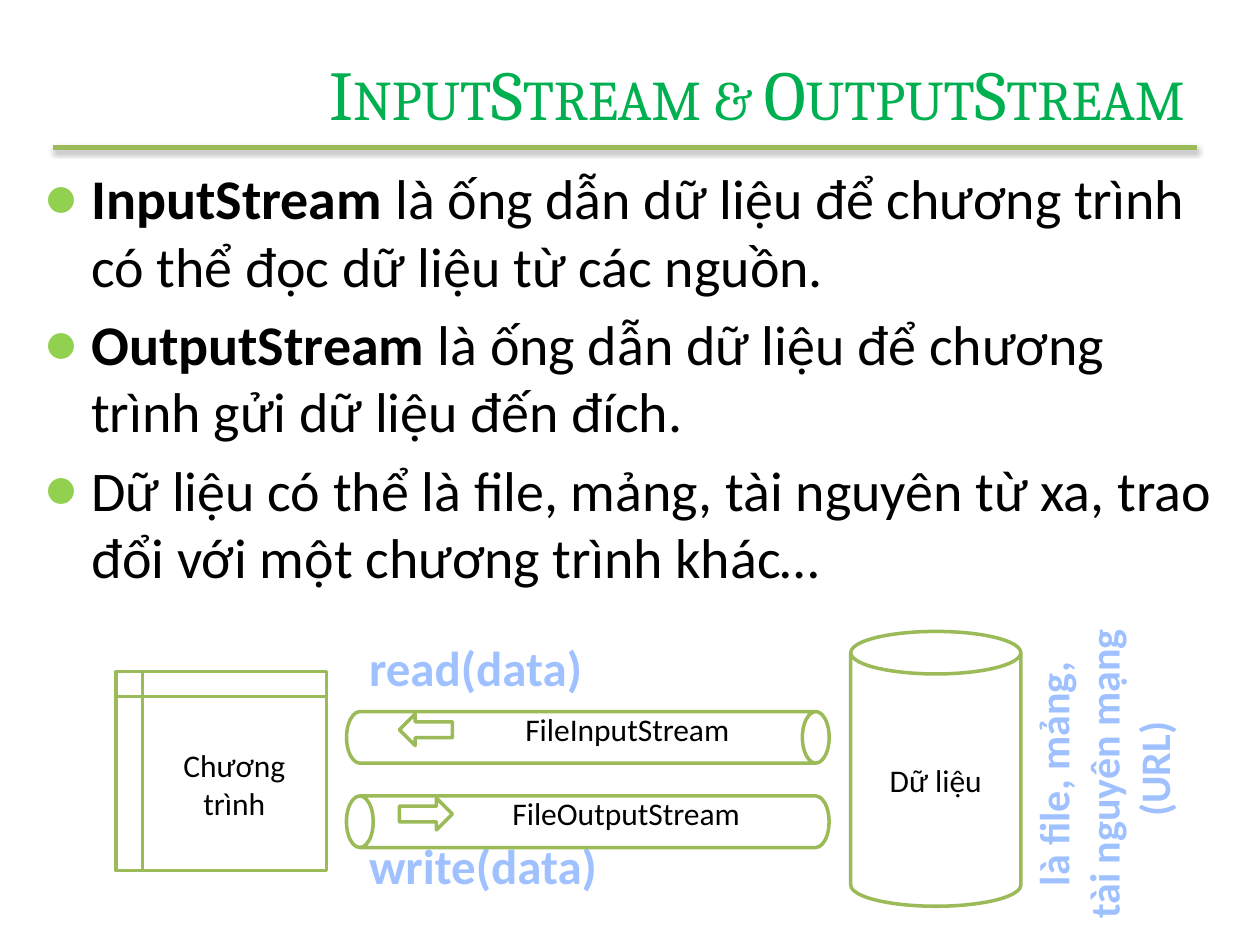
import pptx
import pptx.util
import pptx.dml.color
import pptx.enum.shapes
import pptx.enum.text
import pptx.oxml
import pptx.oxml.ns
from lxml import etree

Cm = pptx.util.Cm
Pt = pptx.util.Pt
SHAPE = pptx.enum.shapes.MSO_SHAPE
ALIGN = pptx.enum.text.PP_ALIGN
ANCHOR = pptx.enum.text.MSO_ANCHOR
FIT = pptx.enum.text.MSO_AUTO_SIZE
qn = pptx.oxml.ns.qn

COLORS = {
    "green": "9BBB59",
    "bullet": "92D050",
    "title": "00B050",
    "art": "A0C1FF",
    "text": "000000",
    "white": "FFFFFF",
}
FORMATS = {
    "title": {"size": Pt(40), "name": "Cambria"},
    "body": {"size": Pt(32), "name": "Calibri"},
    "call": {"size": Pt(28), "name": "Calibri", "bold": True},
    "side": {"size": Pt(24), "name": "Calibri", "bold": True},
    "label": {"size": Pt(18), "name": "Calibri"},
}


class Deck:
    def __init__(self, prs):
        self.slide = prs.slides.add_slide(prs.slide_layouts[6])

    def color(self, name):
        return pptx.dml.color.RGBColor.from_string(COLORS[name])

    def run(self, p, text, style, color="text", bold=None):
        r = p.add_run()
        r.text = text
        values = dict(FORMATS[style])
        if bold is not None:
            values["bold"] = bold
        for key, value in values.items():
            setattr(r.font, key, value)
        r.font.color.rgb = self.color(color)
        return r

    def text(self, box, lines, style, color="text", align=ALIGN.LEFT, rotation=0):
        sp = self.slide.shapes.add_textbox(*map(Cm, box))
        sp.rotation = rotation
        tf = sp.text_frame
        tf.word_wrap = False
        tf.auto_size = FIT.SHAPE_TO_FIT_TEXT
        for i, line in enumerate(lines):
            p = tf.add_paragraph() if i else tf.paragraphs[0]
            p.alignment = align
            self.run(p, line, style, color)

    def title(self, box, text):
        tf = self.slide.shapes.add_textbox(*map(Cm, box)).text_frame
        tf.word_wrap = True
        tf.vertical_anchor = ANCHOR.MIDDLE
        p = tf.paragraphs[0]
        p.alignment = ALIGN.RIGHT
        r = self.run(p, text, "title", "title")
        r.font._element.set("cap", "small")

    def bullets(self, box, items):
        tf = self.slide.shapes.add_textbox(*map(Cm, box)).text_frame
        tf.word_wrap = True
        for i, (term, rest) in enumerate(items):
            p = tf.add_paragraph() if i else tf.paragraphs[0]
            p.space_before = Pt(6.4)
            pPr = p._p.get_or_add_pPr()
            pPr.set("marL", str(Cm(0.95)))
            pPr.set("indent", str(-Cm(0.95)))
            clr = etree.SubElement(pPr, qn("a:buClr"))
            etree.SubElement(clr, qn("a:srgbClr"), val=COLORS["bullet"])
            etree.SubElement(pPr, qn("a:buFont"), typeface="Calibri")
            etree.SubElement(pPr, qn("a:buChar"), char="●")
            if term:
                self.run(p, term, "body", bold=True)
            self.run(p, rest, "body")

    def shape(self, kind, box, text="", rotation=0, adj=None):
        sp = self.slide.shapes.add_shape(kind, *map(Cm, box))
        sp.shadow.inherit = False
        sp.rotation = rotation
        if adj is not None:
            sp.adjustments[0] = adj
        sp.fill.solid()
        sp.fill.fore_color.rgb = self.color("white")
        sp.line.color.rgb = self.color("green")
        sp.line.width = Pt(2)
        if text:
            tf = sp.text_frame
            tf.word_wrap = True
            tf.vertical_anchor = ANCHOR.MIDDLE
            p = tf.paragraphs[0]
            p.alignment = ALIGN.CENTER
            self.run(p, text, "label")

    def rule(self, x1, x2, y):
        line = self.slide.shapes.add_connector(
            pptx.enum.shapes.MSO_CONNECTOR.STRAIGHT, Cm(x1), Cm(y), Cm(x2), Cm(y))
        line.line.color.rgb = self.color("green")
        line.line.width = Pt(3)
        effects = etree.SubElement(line._element.spPr, qn("a:effectLst"))
        shadow = etree.SubElement(
            effects, qn("a:outerShdw"), blurRad=str(Pt(3.1)),
            dist=str(Pt(1.8)), dir="5400000", rotWithShape="0")
        clr = etree.SubElement(shadow, qn("a:srgbClr"), val=COLORS["text"])
        etree.SubElement(clr, qn("a:alpha"), val="35000")


prs = pptx.Presentation()
prs.slide_width = Cm(25.4)
prs.slide_height = Cm(19.05)
deck = Deck(prs)

deck.rule(1.07, 24.13, 2.97)
deck.title((3.68, 0.76, 20.45, 2.21), "InputStream & OutputStream")
deck.bullets((0.64, 3.18, 24.13, 9.73), [
    ("InputStream ", "là ống dẫn dữ liệu để chương trình có thể đọc dữ liệu từ các nguồn."),
    ("OutputStream ", "là ống dẫn dữ liệu để chương trình gửi dữ liệu đến đích."),
    ("", "Dữ liệu có thể là file, mảng, tài nguyên từ xa, trao đổi với một chương trình khác…"),
])

deck.text((7.19, 12.73, 4.88, 1.45), ["read(data)"], "call", "art")
deck.text((7.19, 16.71, 5.18, 1.45), ["write(data)"], "call", "art")
deck.text((18.95, 13.84, 6.6, 3.33),
          ["là file, mảng, ", "tài nguyên mạng ", "(URL)"],
          "side", "art", ALIGN.CENTER, 270)

deck.shape(SHAPE.FLOWCHART_INTERNAL_STORAGE, (2.34, 13.54, 4.24, 4.01), "Chương trình")
streams = [
    ("FileInputStream", 14.87, 90, 180, 10.34, 4.67),
    ("FileOutputStream", 16.57, 270, 0, 10.08, 5.16),
]
for name, mid, pipe_turn, arrow_turn, left, width in streams:
    deck.shape(SHAPE.CAN, (11.33, mid - 5.04 + 0.17, 1.04, 9.73),
               rotation=pipe_turn, adj=0.52)
    deck.text((left, mid - 0.69, width, 1.02), [name], "label")
    deck.shape(SHAPE.RIGHT_ARROW, (8.05, mid - 0.48, 1.07, 0.64), rotation=arrow_turn)
deck.shape(SHAPE.CAN, (17.15, 12.73, 3.43, 5.54), "Dữ liệu")

prs.save("out.pptx")
